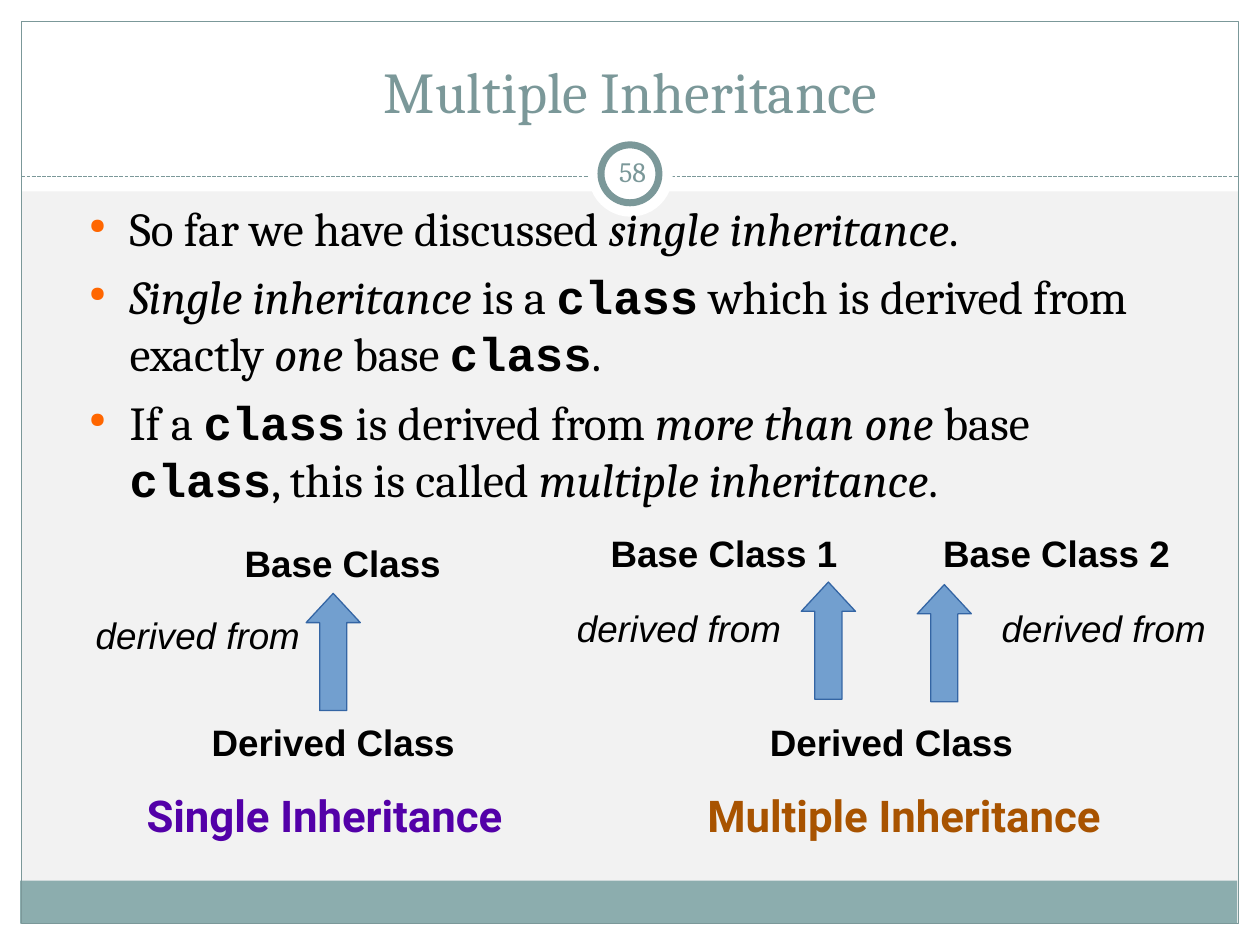
"""Build the slide that compares single and multiple inheritance."""
from lxml.etree import SubElement
from pptx import Presentation
from pptx.dml.color import RGBColor
from pptx.enum.dml import MSO_LINE as Dash
from pptx.enum.shapes import MSO_CONNECTOR as Conn, MSO_SHAPE as Shape
from pptx.enum.text import MSO_ANCHOR as Anchor, MSO_AUTO_SIZE as Fit, PP_ALIGN as Align
from pptx.oxml.ns import qn
from pptx.util import Inches, Pt

WHITE = RGBColor(0xFF, 0xFF, 0xFF)
BLACK = RGBColor(0, 0, 0)
GRAY = RGBColor(0xF2, 0xF2, 0xF2)
TEAL = RGBColor(0x7B, 0x98, 0x99)
BAND = RGBColor(0x8C, 0xAD, 0xAE)
BLUE = RGBColor(0x72, 0x9F, 0xCF)
NAVY = RGBColor(0x34, 0x65, 0xA4)
PURPLE = RGBColor(0x53, 0x00, 0xA8)
BROWN = RGBColor(0xA8, 0x53, 0x00)
LABEL = (0.09, 0.07, 0.09, 0.04)
BADGE = (0.05, 0.05, 0.05, 0.05)
PLAIN, ITALIC, CODE = range(3)
POINTS = [
    [("So far we have discussed ", PLAIN), ("single inheritance", ITALIC), (".", PLAIN)],
    [("Single inheritance", ITALIC), (" is a ", PLAIN), ("class", CODE),
     (" which is derived from exactly ", PLAIN), ("one", ITALIC), (" base ", PLAIN),
     ("class", CODE), (".", PLAIN)],
    [("If a ", PLAIN), ("class", CODE), (" is derived from ", PLAIN),
     ("more than one", ITALIC), (" base ", PLAIN), ("class", CODE),
     (", this is called ", PLAIN), ("multiple inheritance", ITALIC), (".", PLAIN)],
]


class Deck:
    """Hold the style and the current slide."""

    def __init__(self):
        self.prs = Presentation()
        self.prs.slide_width, self.prs.slide_height = Inches(10), Inches(7.5)
        self.slide = self.prs.slides.add_slide(self.prs.slide_layouts[5])
        fill = self.slide.background.fill
        fill.solid()
        fill.fore_color.rgb = GRAY

    def shape(self, kind, box, fill=None, line=None, width=0.75):
        shape = self.slide.shapes.add_shape(kind, *map(Inches, box))
        shape.shadow.inherit = False
        if fill is None:
            shape.fill.background()
        else:
            shape.fill.solid()
            shape.fill.fore_color.rgb = fill
        if line is None:
            shape.line.fill.background()
        else:
            shape.line.color.rgb = line
            shape.line.width = Pt(width)
        return shape

    def arrow(self, left, top):
        arrow = self.shape(Shape.UP_ARROW, (left, top, 0.43, 0.93), BLUE, NAVY)
        arrow.adjustments[1] = 0.54

    def rule(self, left, right, y):
        ends = map(Inches, (left, y, right, y))
        rule = self.slide.shapes.add_connector(Conn.STRAIGHT, *ends)
        rule.line.color.rgb = TEAL
        rule.line.width = Pt(0.75)
        rule.line.dash_style = Dash.SQUARE_DOT
        SubElement(rule.element.spPr, qn("a:effectLst"))

    def label(self, shape, text, size, face, color, pad, align=Align.CENTER,
              anchor=Anchor.TOP, bold=False, italic=False):
        frame = shape.text_frame
        frame.word_wrap = True
        frame.auto_size = Fit.NONE
        frame.vertical_anchor = anchor
        (frame.margin_left, frame.margin_top,
         frame.margin_right, frame.margin_bottom) = map(Inches, pad)
        par = frame.paragraphs[0]
        par.text = text
        par.alignment = align
        font = par.font
        font.size, font.name = Pt(size), face
        font.bold, font.italic = bold, italic
        font.color.rgb = color

    def text(self, box, text, size=21, face="Arial", color=BLACK, pad=LABEL, **style):
        shape = self.slide.shapes.add_textbox(*map(Inches, box))
        self.label(shape, text, size, face, color, pad, **style)

    def title(self, box, text):
        title = self.slide.shapes.title
        title.left, title.top, title.width, title.height = map(Inches, box)
        title.element.getparent().append(title.element)
        self.label(title, text, 33, "Cambria", TEAL, (0.1, 0.03, 0.1, 0.05),
                   anchor=Anchor.BOTTOM)

    def bullets(self, box, points):
        frame = self.slide.shapes.add_textbox(*map(Inches, box)).text_frame
        frame.word_wrap = True
        for i, parts in enumerate(points):
            par = frame.add_paragraph() if i else frame.paragraphs[0]
            if i:
                par.space_before = Pt(6.8)
            props = par._p.get_or_add_pPr()
            props.set("marL", str(Inches(0.43)))
            props.set("indent", str(Inches(-0.32)))
            tint = SubElement(props, qn("a:buClr"))
            SubElement(tint, qn("a:srgbClr"), val="FF6600")
            SubElement(props, qn("a:buSzPct"), val="45000")
            SubElement(props, qn("a:buChar"), char="●")
            par.font.size = Pt(27)
            par.font.color.rgb = BLACK
            for text, kind in parts:
                run = par.add_run()
                run.text = text
                run.font.name = "Courier New" if kind == CODE else "Cambria"
                run.font.bold = kind == CODE
                run.font.italic = kind == ITALIC


def main():
    deck = Deck()
    for box in ((0, 7.33, 10, 0.17), (0, 0, 10, 1.52),
                (0, 0, 0.17, 7.5), (9.83, 0, 0.17, 7.5)):
        deck.shape(Shape.RECTANGLE, box, WHITE)
    deck.shape(Shape.RECTANGLE, (0.16, 6.99, 9.66, 0.34), BAND)
    deck.shape(Shape.RECTANGLE, (0.17, 0.17, 9.66, 7.16), line=TEAL)
    deck.rule(0.17, 9.83, 1.4)
    deck.shape(Shape.OVAL, (4.67, 1.05, 0.67, 0.67), WHITE)
    deck.shape(Shape.OVAL, (4.77, 1.15, 0.46, 0.46), WHITE, TEAL, 4)
    deck.text((4.77, 1.12, 0.5, 0.48), "58", 16, "Cambria", TEAL, BADGE,
              anchor=Anchor.MIDDLE)
    deck.title((0.17, 0.3, 9.67, 0.74), "Multiple Inheritance")
    deck.bullets((0.5, 1.53, 9, 5.64), POINTS)

    for left, top, width, name in (
            (1.72, 4.22, 2, "Base Class"), (4.64, 4.14, 2.21, "Base Class 1"),
            (7.28, 4.14, 2.21, "Base Class 2"), (1.43, 5.64, 2.43, "Derived Class"),
            (5.86, 5.64, 2.43, "Derived Class")):
        deck.text((left, top, width, 0.5), name, bold=True)
    for left, top, align in ((0.64, 4.79, Align.CENTER), (4.43, 4.74, Align.RIGHT),
                             (7.86, 4.74, Align.LEFT)):
        deck.text((left, top, 1.86, 0.76), "derived from", align=align, italic=True)
    for left, top in ((2.43, 4.71), (6.36, 4.62), (7.28, 4.64)):
        deck.arrow(left, top)
    for left, width, name, color in ((0.79, 3.57, "Single Inheritance", PURPLE),
                                     (5.28, 3.79, "Multiple Inheritance", BROWN)):
        deck.text((left, 6.22, width, 0.56), name, 25, "Roboto", color,
                  (0.09, 0.04, 0.09, 0.04), bold=True)
    deck.prs.save("out.pptx")


if __name__ == "__main__":
    main()
